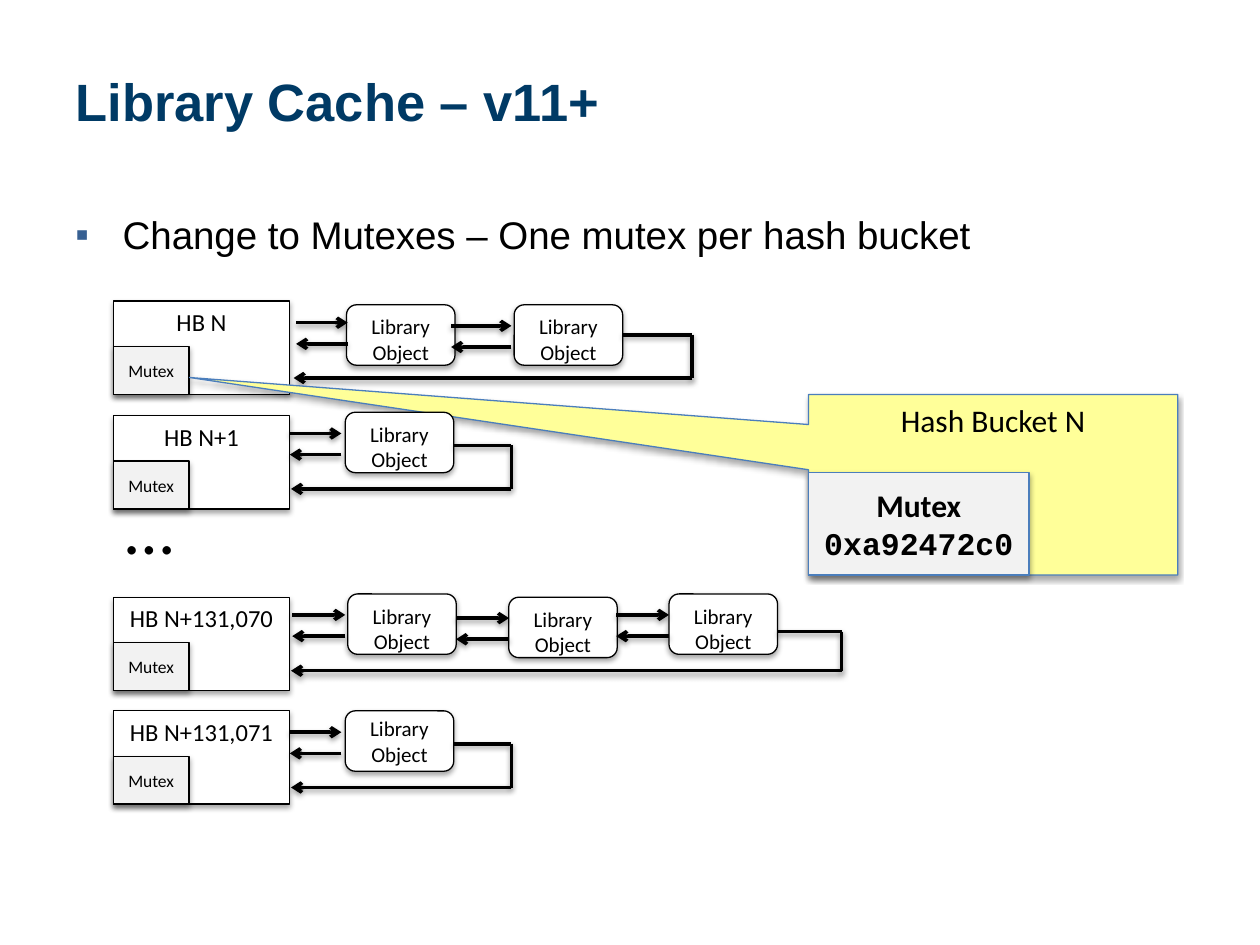
from lxml import etree
from pptx import Presentation
from pptx.dml.color import RGBColor
from pptx.enum.shapes import MSO_CONNECTOR, MSO_SHAPE
from pptx.enum.text import MSO_ANCHOR, PP_ALIGN
from pptx.oxml.ns import qn
from pptx.util import Pt

RECTANGLE = MSO_SHAPE.RECTANGLE
ROUNDED = MSO_SHAPE.ROUNDED_RECTANGLE
CALLOUT = MSO_SHAPE.RECTANGULAR_CALLOUT
STRAIGHT = MSO_CONNECTOR.STRAIGHT
TOP, MIDDLE = MSO_ANCHOR.TOP, MSO_ANCHOR.MIDDLE
LEFT, CENTER = PP_ALIGN.LEFT, PP_ALIGN.CENTER

COLORS = {
    "black": "000000", "white": "FFFFFF", "gray": "F2F2F2", "yellow": "FFFF99",
    "blue": "4B7EBC", "navy": "003A65", "bullet": "376092",
}

BUCKET_LEFT, BUCKET_WIDTH, BUCKET_HEIGHT = 64.8, 100.8, 53.3
MUTEX_WIDTH, MUTEX_HEIGHT = 43.2, 27.4
OBJECT_WIDTH, OBJECT_HEIGHT = 62, 34.5
LINK_GAP = 12.1

# objects: (left, top); links: (left, right, y of the forward arrow);
# loop: (right, top, bottom, left end) of the line back to the bucket
FIRST_CHAIN = {
    "name": "HB N", "top": 172, "objects": [(198, 174.2), (293.8, 174.2)],
    "links": [(169.2, 198.7, 184.4), (257.8, 292.3, 186.2)],
    "loop": (395.3, 191.3, 216, 167.8),
}
OTHER_CHAINS = [
    {"name": "HB N+1", "top": 237.6, "objects": [(197.3, 235.6)],
     "links": [(165.6, 195.1, 247.7)], "loop": (292.3, 254.5, 279.4, 166.3)},
    {"name": "HB N+131,070", "top": 341.3,
     "objects": [(198.7, 339.4), (290.7, 341.3), (382.3, 339.4)],
     "links": [(167, 197.3, 351.4), (260.6, 290.9, 353.2), (352.1, 382.3, 351.4)],
     "loop": (481, 360.9, 383.3, 166.3)},
    {"name": "HB N+131,071", "top": 406.2, "objects": [(197.3, 406.2)],
     "links": [(165.6, 195.1, 418.4)], "loop": (292.3, 425, 450, 166.3),
     "object_anchor": MIDDLE},
]


def color(name):
    return RGBColor.from_string(COLORS[name])


def add_shadow(shape, distance, opacity):
    """Add a soft shadow that falls straight down."""
    effects = etree.SubElement(shape._element.spPr, qn("a:effectLst"))
    shadow = etree.SubElement(
        effects, qn("a:outerShdw"), blurRad=str(Pt(3.15)), dist=str(Pt(distance)),
        dir="5400000", rotWithShape="0")
    black = etree.SubElement(shadow, qn("a:srgbClr"), val=COLORS["black"])
    etree.SubElement(black, qn("a:alpha"), val=str(opacity * 1000))


def write_text(shape, text, size, anchor=TOP, align=CENTER, font_color="black",
               font_name="Calibri", bold=False):
    frame = shape.text_frame
    frame.text = text
    frame.word_wrap = True
    frame.vertical_anchor = anchor
    paragraph = frame.paragraphs[0]
    paragraph.alignment = align
    for run in paragraph.runs:
        run.font.name = font_name
        run.font.size = Pt(size)
        run.font.bold = bold
        run.font.color.rgb = color(font_color)
    return paragraph


def add_box(shapes, kind, box, fill, text, size, line="black", anchor=TOP, bold=False):
    shape = shapes.add_shape(kind, *map(Pt, box))
    shape.fill.solid()
    shape.fill.fore_color.rgb = color(fill)
    shape.line.color.rgb = color(line)
    shape.line.width = Pt(0.75)
    add_shadow(shape, 1.8, 35)
    write_text(shape, text, size, anchor, bold=bold)
    return shape


def add_line(shapes, start, end, arrow=False):
    line = shapes.add_connector(STRAIGHT, *map(Pt, start + end))
    line.line.color.rgb = color("black")
    line.line.width = Pt(2)
    if arrow:
        etree.SubElement(line.line._get_or_add_ln(), qn("a:tailEnd"), type="arrow")
    add_shadow(line, 1.6, 38)


def add_chain(slide, chain):
    """Draw a hash bucket with its mutex and its linked library objects."""
    shapes = slide.shapes.add_group_shape().shapes
    top = chain["top"]
    add_box(shapes, RECTANGLE, (BUCKET_LEFT, top, BUCKET_WIDTH, BUCKET_HEIGHT),
            "white", chain["name"], 14)
    for left, object_top in chain["objects"]:
        add_box(shapes, ROUNDED, (left, object_top, OBJECT_WIDTH, OBJECT_HEIGHT),
                "white", "Library Object", 12, anchor=chain.get("object_anchor", TOP))
    for left, right, y in chain["links"]:
        add_line(shapes, (left, y), (right, y), arrow=True)
        add_line(shapes, (right, y + LINK_GAP), (left, y + LINK_GAP), arrow=True)
    right, loop_top, bottom, end = chain["loop"]
    start = chain["objects"][-1][0] + OBJECT_WIDTH
    add_line(shapes, (start, loop_top), (right, loop_top))
    add_line(shapes, (right, loop_top), (right, bottom))
    add_line(shapes, (right, bottom), (end, bottom), arrow=True)
    mutex_top = top + BUCKET_HEIGHT - MUTEX_HEIGHT
    add_box(shapes, RECTANGLE, (BUCKET_LEFT, mutex_top, MUTEX_WIDTH, MUTEX_HEIGHT),
            "gray", "Mutex", 10, anchor=MIDDLE)


def add_title(slide):
    title = slide.shapes.title
    title.left, title.top, title.width, title.height = map(Pt, (36, 21.6, 648.7, 71.3))
    title.fill.solid()
    title.fill.fore_color.rgb = color("white")
    write_text(title, "Library Cache – v11+", 30, MIDDLE, LEFT, "navy", "Arial", True)


def add_bullet_text(slide):
    box = slide.shapes.add_textbox(*map(Pt, (36, 117, 648.7, 380)))
    paragraph = write_text(box, "Change to Mutexes – One mutex per hash bucket", 22,
                           align=LEFT, font_name="Arial")
    properties = paragraph._p.get_or_add_pPr()
    properties.set("marL", str(Pt(27)))
    properties.set("indent", str(Pt(-27)))
    bullet_color = etree.SubElement(properties, qn("a:buClr"))
    etree.SubElement(bullet_color, qn("a:srgbClr"), val=COLORS["bullet"])
    etree.SubElement(properties, qn("a:buFont"), typeface="Arial")
    etree.SubElement(properties, qn("a:buChar"), char="▪")


def add_bucket_callout(slide):
    callout = add_box(slide.shapes, CALLOUT, (462, 225.4, 211, 103.2), "yellow",
                      "Hash Bucket N", 18, line="blue")
    callout.adjustments[0] = -2.176
    callout.adjustments[1] = -0.594
    mutex = add_box(slide.shapes, RECTANGLE, (462, 270, 126, 58.6), "gray",
                    "Mutex ", 18, line="blue", anchor=MIDDLE, bold=True)
    address = mutex.text_frame.paragraphs[0].add_run()
    address.text = "0xa92472c0"
    address.font.name = "Courier New"
    address.font.size = Pt(18)
    address.font.bold = True
    address.font.color.rgb = color("black")


def main():
    presentation = Presentation()
    presentation.slide_width, presentation.slide_height = Pt(720), Pt(540)
    slide = presentation.slides.add_slide(presentation.slide_layouts[5])
    add_title(slide)
    add_bullet_text(slide)
    ellipsis = slide.shapes.add_textbox(*map(Pt, (64.8, 293.8, 100.8, 14.4)))
    write_text(ellipsis, "…", 40, MIDDLE, LEFT)
    add_chain(slide, FIRST_CHAIN)
    add_bucket_callout(slide)
    for chain in OTHER_CHAINS:
        add_chain(slide, chain)
    presentation.save("out.pptx")


if __name__ == "__main__":
    main()
